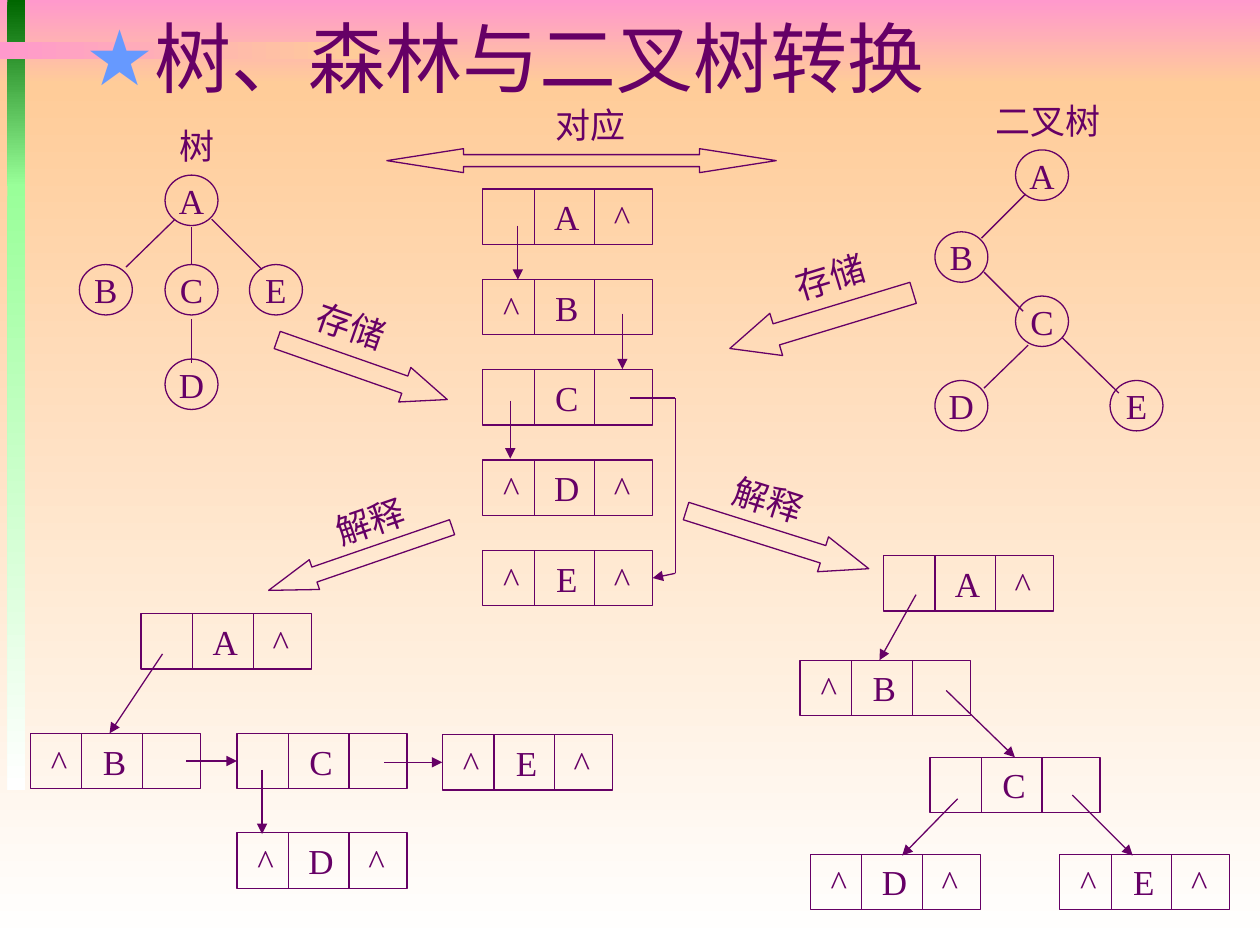
from typing import NamedTuple

import pptx
import pptx.dml.color
import pptx.enum.shapes
import pptx.enum.text
import pptx.oxml.ns
import pptx.util
from lxml import etree

Inches = pptx.util.Inches
Pt = pptx.util.Pt
SHAPE = pptx.enum.shapes.MSO_SHAPE
ALIGN = pptx.enum.text.PP_ALIGN
ANCHOR = pptx.enum.text.MSO_ANCHOR
AUTO_SIZE = pptx.enum.text.MSO_AUTO_SIZE

COLORS = {
    "ink": "660066", "star": "6699FF", "pink": "FF99CC", "peach": "FFCC99",
    "white": "FFFFFF", "dark green": "006600", "light green": "99FF99",
}
CIRCLE = (0.42, 0.4)
CELLS = (1.35, 0.44)
DIVIDERS = (0.41, 0.89)
TAB_STOPS = (0.13, 0.57, 1.01)
TOP, LEFT, BOTTOM, RIGHT = range(4)


class Band(NamedTuple):
    box: tuple[float, float, float, float]
    start: str
    end: str
    angle: int = 270


class TreeNode(NamedTuple):
    key: str
    left: float
    top: float


class ListNode(NamedTuple):
    """A linked node; a missing child shows as ^."""
    key: str
    left: float
    top: float
    has_left: bool = False
    has_right: bool = False


class Link(NamedTuple):
    begin: tuple[float, float]
    end: tuple[float, float]
    arrow: bool = True
    target: str = ""
    side: int = TOP


class Label(NamedTuple):
    text: str
    left: float
    top: float
    width: float = 0.76
    rotation: float = 0


class BlockArrow(NamedTuple):
    kind: SHAPE
    box: tuple[float, float, float, float]
    head: float
    label: Label


BANDS = [
    Band((0, 0, 10, 0.67), "pink", "peach"),
    Band((0, 0.67, 10, 6.83), "peach", "white"),
    Band((0.06, 0, 0.14, 1.48), "dark green", "light green"),
    Band((0.06, 1.46, 0.14, 4.81), "light green", "white"),
    Band((0, 0.33, 2.89, 0.14), "pink", "peach", 0),
]
TREES = [
    (Label("树", 1.32, 0.94, 0.48),
     [TreeNode("A", 1.31, 1.39), TreeNode("B", 0.63, 2.1), TreeNode("C", 1.31, 2.1),
      TreeNode("E", 1.98, 2.1), TreeNode("D", 1.31, 2.85)],
     [Link((1.52, 1.8), (1.52, 2.1), False), Link((1.52, 2.53), (1.52, 2.88), False),
      Link((1.39, 1.74), (1, 2.12), False), Link((1.68, 1.74), (2.08, 2.14), False)]),
    (Label("二叉树", 7.77, 0.74, 1.1),
     [TreeNode("A", 8.06, 1.19), TreeNode("B", 7.42, 1.84), TreeNode("C", 8.06, 2.35),
      TreeNode("D", 7.42, 3.02), TreeNode("E", 8.81, 3.02)],
     [Link((8.14, 1.54), (7.79, 1.89), False), Link((7.81, 2.16), (8.12, 2.47), False),
      Link((8.43, 2.68), (8.88, 3.12), False), Link((8.16, 2.74), (7.81, 3.08), False)]),
]
# Key, has left child, has right child: the same in all three linked lists.
CHILDREN = {"A": (True, False), "B": (False, True), "C": (True, True),
            "D": (False, False), "E": (False, False)}
LISTS = [
    ([(3.83, 1.5 + 0.717 * row) for row in range(5)],
     [Link((4.11, 1.79), (4.11, 2.22)), Link((4.94, 2.49), (4.94, 2.93)),
      Link((4.05, 3.18), (4.05, 3.64)), Link((5, 3.16), (5.36, 3.16), False),
      Link((5.36, 3.16), (5.36, 4.55), False),
      Link((5.36, 4.55), (5.18, 4.59), target="E", side=RIGHT)]),
    ([(1.12, 4.87), (0.24, 5.82), (1.88, 5.82), (1.88, 6.61), (3.51, 5.83)],
     [Link((1.29, 5.19), (0.87, 5.82)),
      Link((1.48, 6.04), (1.88, 6.04), target="C", side=LEFT),
      Link((3.05, 6.05), (3.51, 6.05), target="E", side=LEFT),
      Link((2.08, 6.11), (2.08, 6.62))]),
    ([(7.01, 4.41), (6.35, 5.24), (7.38, 6.01), (6.43, 6.78), (8.41, 6.78)],
     [Link((7.27, 4.72), (6.98, 5.24)),
      Link((7.51, 5.48), (8.05, 6.01), target="C", side=TOP),
      Link((7.6, 6.34), (7.16, 6.79)), Link((8.51, 6.31), (8.99, 6.79))]),
]
BLOCK_ARROWS = [
    BlockArrow(SHAPE.LEFT_RIGHT_ARROW, (3.07, 1.18, 3.09, 0.19), 3.2, Label("对应", 4.31, 0.77)),
    BlockArrow(SHAPE.RIGHT_ARROW, (2.16, 2.79, 1.43, 0.29), 1.23,
               Label("存储", 2.41, 2.37, rotation=19.3)),
    BlockArrow(SHAPE.LEFT_ARROW, (5.76, 2.37, 1.52, 0.35), 1.1,
               Label("存储", 6.21, 1.98, rotation=343.1)),
    BlockArrow(SHAPE.LEFT_ARROW, (2.09, 4.31, 1.54, 0.25), 1.54,
               Label("解释", 2.56, 3.92, rotation=341)),
    BlockArrow(SHAPE.RIGHT_ARROW, (5.41, 4.14, 1.52, 0.29), 1.31,
               Label("解释", 5.72, 3.75, rotation=17.5)),
]


def color(name: str) -> pptx.dml.color.RGBColor:
    return pptx.dml.color.RGBColor.from_string(COLORS[name])


def add_element(parent, tag: str, **attributes: str):
    return etree.SubElement(parent, pptx.oxml.ns.qn(tag), attributes)


def write(shape, text: str, *, size=20, font="Times New Roman", align=ALIGN.CENTER,
          anchor=ANCHOR.MIDDLE, wrap=False, auto_size=AUTO_SIZE.NONE, tabs=()):
    frame = shape.text_frame
    frame.word_wrap = wrap
    frame.auto_size = auto_size
    frame.vertical_anchor = anchor
    paragraph = frame.paragraphs[0]
    paragraph.alignment = align
    if tabs:
        tab_list = add_element(paragraph._p.get_or_add_pPr(), "a:tabLst")
        for stop in tabs:
            add_element(tab_list, "a:tab", pos=str(Inches(stop)), algn="ctr")
    run = paragraph.add_run()
    run.text = text
    run.font.size = Pt(size)
    run.font.name = font
    run.font.color.rgb = color("ink")
    return paragraph


def add_outline(slide, kind: SHAPE, *box: float):
    shape = slide.shapes.add_shape(kind, *map(Inches, box))
    shape.shadow.inherit = False
    shape.fill.background()
    shape.line.color.rgb = color("ink")
    shape.line.width = Pt(0.75)
    return shape


def add_band(slide, band: Band) -> None:
    shape = add_outline(slide, SHAPE.RECTANGLE, *band.box)
    shape.line.fill.background()
    shape.fill.gradient()
    shape.fill.gradient_angle = band.angle
    for stop, name in zip(shape.fill.gradient_stops, (band.start, band.end)):
        stop.color.rgb = color(name)


def add_title(slide, text: str) -> None:
    title, body = slide.placeholders
    tree = body.element.getparent()
    tree.remove(title.element)
    tree.append(body.element)  # in front of the bands
    body.left, body.top, body.width, body.height = map(Inches, (0.08, 0.12, 9.3, 0.53))
    paragraph = write(body, text, size=44, font="Arial", align=ALIGN.LEFT,
                      anchor=ANCHOR.TOP, wrap=True)
    paragraph.level = 1
    paragraph.line_spacing = 0.9
    paragraph.space_before = Pt(0)
    properties = paragraph._p.get_or_add_pPr()
    properties.set("marL", str(Inches(0.81)))
    properties.set("indent", str(Inches(-0.31)))
    add_element(add_element(properties, "a:buClr"), "a:srgbClr", val=COLORS["star"])
    add_element(properties, "a:buChar", char="★")


def add_label(slide, label: Label) -> None:
    box = slide.shapes.add_textbox(*map(Inches, (label.left, label.top, label.width, 0.43)))
    box.rotation = label.rotation
    write(box, label.text, auto_size=AUTO_SIZE.SHAPE_TO_FIT_TEXT)


def add_link(slide, link: Link, targets: dict) -> None:
    line = slide.shapes.add_connector(pptx.enum.shapes.MSO_CONNECTOR.STRAIGHT,
                                      *map(Inches, link.begin + link.end))
    line.line.color.rgb = color("ink")
    line.line.width = Pt(0.75)
    add_element(line.element.spPr, "a:effectLst")
    if link.arrow:
        add_element(line.line._get_or_add_ln(), "a:tailEnd", type="triangle")
    if link.target:
        line.end_connect(targets[link.target], link.side)


def add_list_node(slide, node: ListNode):
    width, height = CELLS
    shape = add_outline(slide, SHAPE.RECTANGLE, node.left, node.top, width, height)
    cells = ["", "" if node.has_left else "^", node.key, "" if node.has_right else "^"]
    write(shape, "\t".join(cells).rstrip("\t"), align=ALIGN.LEFT, wrap=True, tabs=TAB_STOPS)
    for x in (node.left + offset for offset in DIVIDERS):
        add_link(slide, Link((x, node.top), (x, node.top + height), False), {})
    return shape


def add_block_arrow(slide, arrow: BlockArrow) -> None:
    shape = add_outline(slide, arrow.kind, *arrow.box)
    shape.adjustments[0] = 0.5
    shape.adjustments[1] = arrow.head
    shape.rotation = arrow.label.rotation
    add_label(slide, arrow.label)


def main() -> None:
    presentation = pptx.Presentation()
    presentation.slide_width, presentation.slide_height = Inches(10), Inches(7.5)
    slide = presentation.slides.add_slide(presentation.slide_layouts[1])
    for band in BANDS:
        add_band(slide, band)
    add_title(slide, "树、森林与二叉树转换")
    for label, nodes, links in TREES:
        for node in nodes:
            write(add_outline(slide, SHAPE.OVAL, node.left, node.top, *CIRCLE), node.key)
        for link in links:
            add_link(slide, link, {})
        add_label(slide, label)
    for places, links in LISTS:
        targets = {key: add_list_node(slide, ListNode(key, *place, *children))
                   for (key, children), place in zip(CHILDREN.items(), places)}
        for link in links:
            add_link(slide, link, targets)
    for arrow in BLOCK_ARROWS:
        add_block_arrow(slide, arrow)
    presentation.save("out.pptx")


if __name__ == "__main__":
    main()
